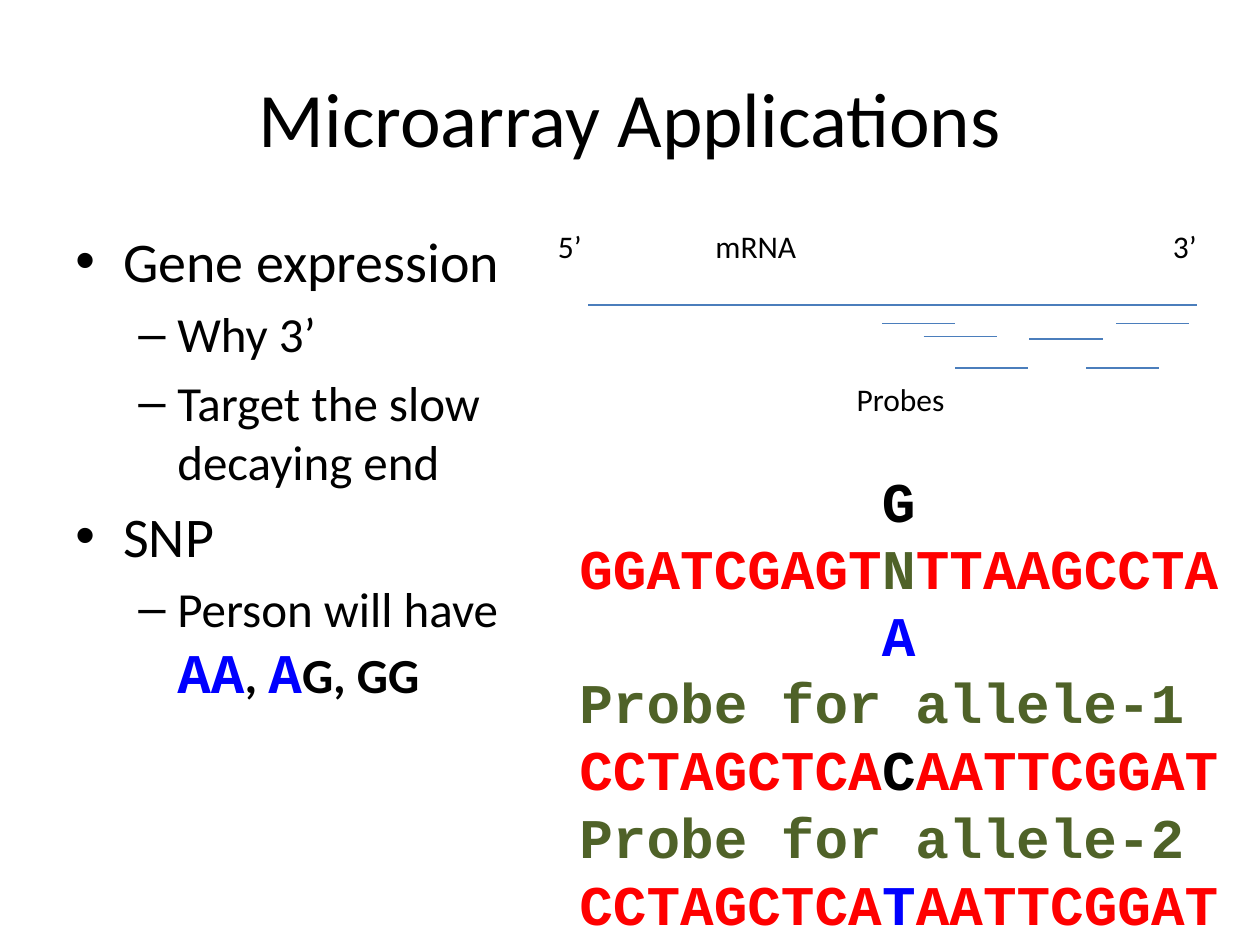
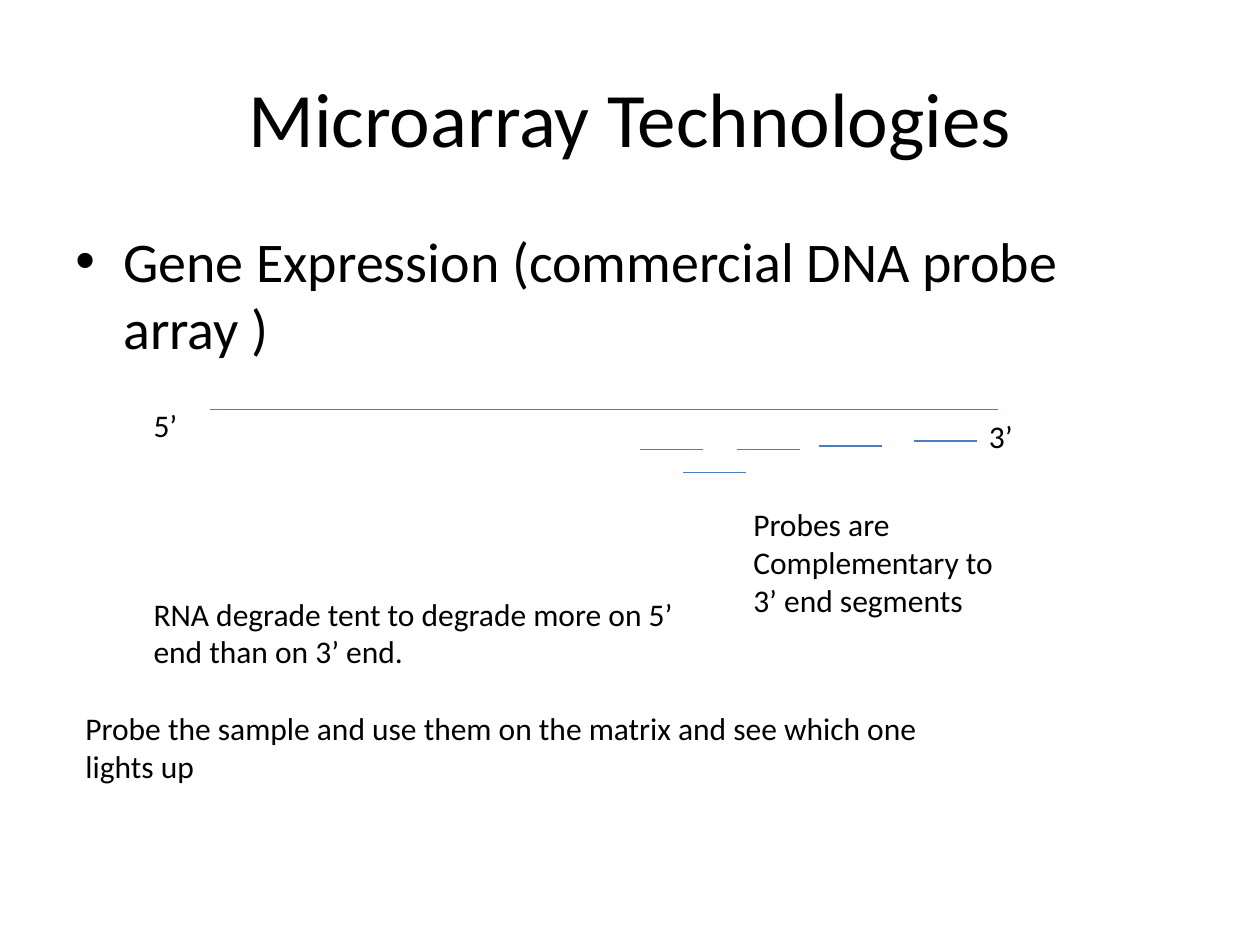
from lxml import etree
from pptx import Presentation
from pptx.dml.color import RGBColor
from pptx.enum.shapes import MSO_CONNECTOR
from pptx.enum.text import MSO_ANCHOR, PP_ALIGN
from pptx.oxml.ns import qn
from pptx.util import Inches, Pt

STRAIGHT = MSO_CONNECTOR.STRAIGHT
MIDDLE, TOP = MSO_ANCHOR.MIDDLE, MSO_ANCHOR.TOP
CENTER = PP_ALIGN.CENTER

BLACK = RGBColor(0x00, 0x00, 0x00)
RED = RGBColor(0xFF, 0x00, 0x00)
BLUE = RGBColor(0x00, 0x00, 0xFF)
GREEN = RGBColor(0x4F, 0x62, 0x28)
LINE_BLUE = RGBColor(0x4B, 0x7E, 0xBC)

BODY_FONT, CODE_FONT = "Calibri", "Courier New"
TITLE_SIZE, LABEL_SIZE, CODE_SIZE = 44, 18, 32
TITLE_ONLY = 5

# Bullet levels: character, text size, left margin, hanging indent
LEVELS = [("•", 32, 0.38, -0.38), ("–", 28, 0.81, -0.31)]

# Width of one monospaced letter, in inches
LETTER_WIDTH = CODE_SIZE * 0.6 / 72


# Shared helpers
def add_run(paragraph, text, size, color=BLACK, font=BODY_FONT, bold=False):
    run = paragraph.add_run()
    run.text = text
    run.font.name = font
    run.font.size = Pt(size)
    run.font.bold = bold
    run.font.color.rgb = color


def add_text_frame(slide, left, top, width, height):
    box = slide.shapes.add_textbox(Inches(left), Inches(top), Inches(width), Inches(height))
    frame = box.text_frame
    frame.word_wrap = True
    frame.vertical_anchor = TOP
    return frame


def next_paragraph(frame, index):
    return frame.add_paragraph() if index else frame.paragraphs[0]


def add_label(slide, text, left, top, width, height=0.4):
    frame = add_text_frame(slide, left, top, width, height)
    add_run(frame.paragraphs[0], text, LABEL_SIZE)


def add_line(slide, left, top, length):
    line = slide.shapes.add_connector(
        STRAIGHT, Inches(left), Inches(top), Inches(left + length), Inches(top))
    line.line.color.rgb = LINE_BLUE
    line.line.width = Pt(0.75)
    etree.SubElement(line._element.spPr, qn("a:effectLst"))


def set_indent(paragraph, margin, indent=0):
    properties = paragraph._p.get_or_add_pPr()
    properties.set("marL", str(Inches(margin)))
    properties.set("indent", str(Inches(indent)))
    return properties


def add_titled_slide(presentation, text):
    slide = presentation.slides.add_slide(presentation.slide_layouts[TITLE_ONLY])
    title = slide.shapes.title
    title.left, title.top = Inches(0.5), Inches(0.3)
    title.width, title.height = Inches(9), Inches(1.25)
    title.text_frame.vertical_anchor = MIDDLE
    paragraph = title.text_frame.paragraphs[0]
    paragraph.alignment = CENTER
    add_run(paragraph, text, TITLE_SIZE)
    return slide


def add_bullets(slide, box, items):
    """Each item is a level and its lines; a line is a list of run arguments."""
    frame = add_text_frame(slide, *box)
    for index, (level, lines) in enumerate(items):
        character, size, margin, indent = LEVELS[level]
        paragraph = next_paragraph(frame, index)
        paragraph.level = level
        properties = set_indent(paragraph, margin, indent)
        etree.SubElement(properties, qn("a:buFont")).set("typeface", "Arial")
        etree.SubElement(properties, qn("a:buChar")).set("char", character)
        if index:
            paragraph.space_before = Pt(size * 0.2)
        for number, line in enumerate(lines):
            if number:
                paragraph.add_line_break()
            for text, *style in line:
                add_run(paragraph, text, *(style or [size]))


def add_transcript(slide, origin, strand, probe_length, probes, labels):
    """Draw a strand with the probes below it and labels, all relative to origin."""
    left, top = origin
    strand_left, strand_top, strand_length = strand
    add_line(slide, left + strand_left, top + strand_top, strand_length)
    for probe_left, probe_top in probes:
        add_line(slide, left + probe_left, top + probe_top, probe_length)
    for text, label_left, label_top, *size in labels:
        add_label(slide, text, left + label_left, top + label_top, *size)


def add_alleles(slide, box):
    """Show the two alleles of a sequence and the probe for each."""
    frame = add_text_frame(slide, *box)
    target = ("GGATCGAGT", "TTAAGCCTA")
    probe = ("CCTAGCTCA", "AATTCGGAT")

    def sequence(flanks, base, color):
        return [(flanks[0], RED), (base, color), (flanks[1], RED)]

    rows = [
        (len(target[0]), [("G", BLACK)]),
        (0, sequence(target, "N", GREEN)),
        (len(target[0]), [("A", BLUE)]),
        (0, [("Probe for allele-1", GREEN)]),
        (0, sequence(probe, "C", BLACK)),
        (0, [("Probe for allele-2", GREEN)]),
        (0, sequence(probe, "T", BLUE)),
    ]
    for index, (offset, runs) in enumerate(rows):
        paragraph = next_paragraph(frame, index)
        set_indent(paragraph, offset * LETTER_WIDTH)
        for text, color in runs:
            add_run(paragraph, text, CODE_SIZE, color, CODE_FONT, True)


# Slides
def build_applications(presentation):
    slide = add_titled_slide(presentation, "Microarray Applications")
    allele_a = (32, BLUE, CODE_FONT, True)
    allele_g = (28, BLACK, BODY_FONT, True)
    add_bullets(slide, (0.5, 1.75, 4, 4.95), [
        (0, [[("Gene expression",)]]),
        (1, [[("Why 3’",)]]),
        (1, [[("Target the slow decaying end",)]]),
        (0, [[("SNP",)]]),
        (1, [[("Person will have ",)],
             [("AA", *allele_a), (", ", *allele_g), ("A", *allele_a), ("G, GG", *allele_g)]]),
    ])
    add_transcript(
        slide, (4.33, 1.75), strand=(0.34, 0.67, 4.83), probe_length=0.58,
        probes=[(2.67, 0.82), (3, 0.92), (3.25, 1.17), (3.84, 0.94), (4.29, 1.17), (4.53, 0.82)],
        labels=[("5’", 0, 0, 0.58), ("3’", 4.88, 0, 0.58),
                ("mRNA", 1.25, 0, 2.67), ("Probes", 2.37, 1.22, 2.56)])
    add_alleles(slide, (4.5, 3.65, 5.33, 3.85))


def build_technologies(presentation):
    slide = add_titled_slide(presentation, "Microarray Technologies")
    add_bullets(slide, (0.5, 1.75, 9, 1.18), [
        (0, [[("Gene Expression (commercial DNA probe array )",)]]),
    ])
    add_transcript(
        slide, (1.12, 3.17), strand=(0.55, 0.08, 6.25), probe_length=0.5,
        probes=[(3.96, 0.4), (4.3, 0.58), (4.73, 0.4), (5.38, 0.37), (6.13, 0.33)],
        labels=[("5’", 0, 0, 1.08), ("3’", 6.63, 0.09, 1.08),
                ("Probes are Complementary to 3’ end segments", 4.76, 0.79, 2.25, 1.01),
                ("RNA degrade tent to degrade more on 5’ end than on 3’ end.", 0, 1.5, 4.62, 0.71)])
    add_label(slide, "Probe the sample and use them on the matrix and see which one lights up",
              0.58, 5.58, 7.33, 0.71)


def main():
    presentation = Presentation()
    presentation.slide_width, presentation.slide_height = Inches(10), Inches(7.5)
    build_applications(presentation)
    build_technologies(presentation)
    presentation.save("out.pptx")


if __name__ == "__main__":
    main()
